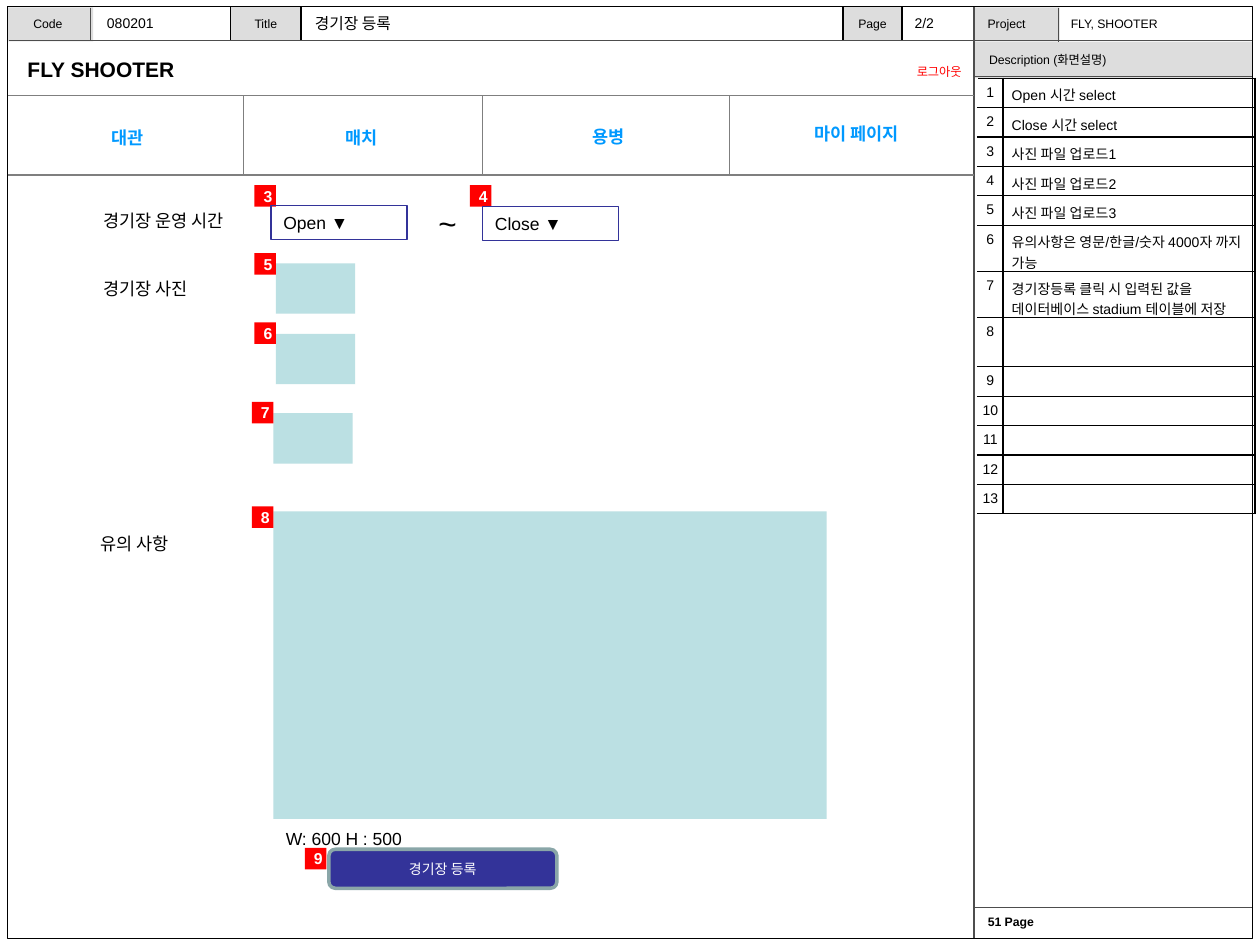
from lxml import etree
from pptx import Presentation
from pptx.dml.color import RGBColor
from pptx.enum import shapes, text
from pptx.oxml import ns
from pptx.util import Inches, Pt

BLACK = RGBColor(0x00, 0x00, 0x00)
WHITE = RGBColor(0xFF, 0xFF, 0xFF)
RED = RGBColor(0xFF, 0x00, 0x00)
HEADER_GREY = RGBColor(0xDD, 0xDD, 0xDD)
FRAME_GREY = RGBColor(0x4D, 0x4D, 0x4D)
MENU_GREY = RGBColor(0x7F, 0x7F, 0x7F)
MENU_BLUE = RGBColor(0x00, 0x99, 0xFF)
NAVY = RGBColor(0x33, 0x33, 0x99)
PALE_TEAL = RGBColor(0xBB, 0xE0, 0xE3)
BUTTON_EDGE = RGBColor(0x8A, 0xA6, 0xA8)

LEFT, CENTER, RIGHT = text.PP_ALIGN.LEFT, text.PP_ALIGN.CENTER, text.PP_ALIGN.RIGHT
TOP, MIDDLE = text.MSO_ANCHOR.TOP, text.MSO_ANCHOR.MIDDLE
RECTANGLE = shapes.MSO_SHAPE.RECTANGLE
ROUNDED = shapes.MSO_SHAPE.ROUNDED_RECTANGLE
KOREAN = "Noto Sans CJK KR"

DESCRIPTIONS = [
    "Open 시간 select",
    "Close 시간 select",
    "사진 파일 업로드1",
    "사진 파일 업로드2",
    "사진 파일 업로드3",
    "유의사항은 영문/한글/숫자 4000자 까지 가능",
    "경기장등록 클릭 시 입력된 값을 데이터베이스 stadium 테이블에 저장",
] + [""] * 6
ROW_HEIGHT = 0.22
TALL_ROWS = {6: 0.36, 7: 0.36, 8: 0.39}
COLUMN_WIDTHS = (0.2, 2)


def write(frame, content, size=10, color=BLACK, bold=False, font="Arial", align=LEFT):
    paragraph = frame.paragraphs[0]
    paragraph.alignment = align
    run = paragraph.add_run()
    run.text = content
    run.font.size = Pt(size)
    run.font.name = font
    run.font.bold = bold
    run.font.color.rgb = color


def add_label(slide, box, content, anchor=TOP, inset=0.1, wrap=True, **style):
    shape = slide.shapes.add_textbox(*map(Inches, box))
    frame = shape.text_frame
    frame.word_wrap = wrap
    frame.vertical_anchor = anchor
    frame.margin_left = Inches(inset)
    write(frame, content, **style)


def add_box(slide, box, fill=None, line=None, width=0.75, kind=RECTANGLE,
            content="", anchor=MIDDLE, inset=0.1, **style):
    shape = slide.shapes.add_shape(kind, *map(Inches, box))
    shape.shadow.inherit = False
    if fill is None:
        shape.fill.background()
    else:
        shape.fill.solid()
        shape.fill.fore_color.rgb = fill
    if line is None:
        shape.line.fill.background()
    else:
        shape.line.color.rgb = line
        shape.line.width = Pt(width)
    if content:
        shape.text_frame.vertical_anchor = anchor
        shape.text_frame.margin_left = Inches(inset)
        write(shape.text_frame, content, **style)


def add_line(slide, x1, y1, x2, y2, color):
    line = slide.shapes.add_connector(
        shapes.MSO_CONNECTOR.STRAIGHT, *map(Inches, (x1, y1, x2, y2)))
    line.line.color.rgb = color
    line.line.width = Pt(0.75)
    etree.SubElement(line._element.spPr, ns.qn("a:effectLst"))


def set_borders(cell, sides):
    """Draw thin black borders on the sides, given in the order L, R, T, B."""
    properties = cell._tc.get_or_add_tcPr()
    for position, side in enumerate(sides):
        border = etree.Element(ns.qn(f"a:ln{side}"), w=str(Pt(0.75)))
        fill = etree.SubElement(border, ns.qn("a:solidFill"))
        etree.SubElement(fill, ns.qn("a:srgbClr"), val=str(BLACK))
        properties.insert(position, border)


def add_header(slide):
    add_box(slide, (7.73, 0.33, 2.21, 0.29), HEADER_GREY,
            content="Description (화면설명)", inset=0.12, size=7, anchor=MIDDLE)
    for left, width, title in ((6.69, 0.47, "Page"), (1.83, 0.56, "Title")):
        add_box(slide, (left, 0.05, width, 0.27), HEADER_GREY, BLACK,
                content=title, size=7, align=CENTER)
    for left in (0.06, 7.73):
        add_box(slide, (left, 0.06, 0.68, 0.27), HEADER_GREY)
    add_label(slide, (0.06, 0.05, 0.64, 0.27), "Code", MIDDLE, size=7, align=CENTER)
    add_label(slide, (7.74, 0.08, 0.66, 0.24), "Project", size=7)
    add_label(slide, (8.4, 0.08, 1.5, 0.24), "FLY, SHOOTER", size=7)
    add_label(slide, (0.75, 0.05, 1.02, 0.26), "080201", MIDDLE, size=8)
    add_label(slide, (2.4, 0.06, 4.25, 0.25), "경기장 등록", MIDDLE, size=9)
    add_label(slide, (7.16, 0.05, 0.52, 0.26), "2/2", MIDDLE, size=8)


def add_frame(slide):
    for ends in ((7.73, 0.05, 7.73, 7.45), (0.07, 0.32, 9.94, 0.32),
                 (8.4, 0.06, 8.4, 0.33), (0.72, 0.06, 0.72, 0.32),
                 (7.74, 0.61, 9.94, 0.61), (7.74, 7.2, 9.94, 7.2)):
        add_line(slide, *ends, FRAME_GREY)
    add_box(slide, (0.06, 0.05, 9.88, 7.4), line=BLACK)
    add_label(slide, (7.76, 7.21, 2.14, 0.24), "51 Page", inset=0.08, size=7, bold=True)


def add_menu(slide):
    add_label(slide, (0.12, 0.4, 6.23, 0.3), "FLY SHOOTER", MIDDLE, size=12, bold=True)
    add_label(slide, (6.65, 0.46, 1.08, 0.22), "로그아웃", size=7, color=RED, align=RIGHT)
    for y in (0.76, 1.39):
        add_line(slide, 0.06, y, 7.73, y, MENU_GREY)
    for x in (1.93, 3.83, 5.79):
        add_line(slide, x, 0.76, x, 1.39, MENU_GREY)
    for left, top, item in ((0.08, 0.96, "대관"), (1.94, 0.96, "매치"),
                            (3.9, 0.95, "용병"), (5.87, 0.93, "마이 페이지")):
        add_label(slide, (left, top, 1.86, 0.27), item,
                  color=MENU_BLUE, bold=True, align=CENTER)


def add_form(slide):
    for left, top, caption in ((0.72, 1.62, "경기장 운영 시간"),
                               (0.72, 2.16, "경기장 사진"), (0.7, 4.18, "유의 사항")):
        add_label(slide, (left, top, 1.47, 0.27), caption, font=KOREAN)
    for left, top in ((2.19, 2.09), (2.19, 2.65), (2.17, 3.28)):
        add_box(slide, (left, top, 0.63, 0.4), PALE_TEAL)
    add_box(slide, (2.17, 4.06, 4.39, 2.44), PALE_TEAL)
    add_label(slide, (2.17, 6.52, 1.21, 0.27), "W: 600 H : 500")
    add_label(slide, (3.38, 1.57, 0.35, 0.4), "~", wrap=False, size=18)
    add_box(slide, (2.61, 6.74, 1.81, 0.31), NAVY, BUTTON_EDGE, 2, ROUNDED,
            "경기장 등록", size=8, color=WHITE, align=CENTER)
    badges = ((2.02, 1.47), (3.73, 1.47), (2.02, 2.01), (2.02, 2.56),
              (2, 3.19), (2, 4.02), (2.42, 6.73))
    for number, (left, top) in enumerate(badges, start=3):
        add_box(slide, (left, top, 0.17, 0.17), RED, content=str(number),
                size=9, color=WHITE, bold=True, align=CENTER)
    for left, top, choice in ((2.15, 1.63, "Open ▼"), (3.83, 1.64, "Close ▼")):
        add_box(slide, (left, top, 1.08, 0.27), line=NAVY, content=choice, anchor=TOP)


def add_descriptions(slide):
    heights = [TALL_ROWS.get(number, ROW_HEIGHT)
               for number in range(1, len(DESCRIPTIONS) + 1)]
    table = slide.shapes.add_table(
        len(heights), 2, Inches(7.76), Inches(0.62), Inches(sum(COLUMN_WIDTHS)),
        Inches(sum(heights))).table
    table.first_row = table.horz_banding = False
    for column, width in zip(table.columns, COLUMN_WIDTHS):
        column.width = Inches(width)
    for index, description in enumerate(DESCRIPTIONS):
        table.rows[index].height = Inches(heights[index])
        columns = ((str(index + 1), 0.02, CENTER, "RTB"), (description, 0.07, LEFT, "LRTB"))
        for column, (content, inset, align, sides) in enumerate(columns):
            cell = table.cell(index, column)
            cell.fill.background()
            cell.margin_left = cell.margin_right = Inches(inset)
            set_borders(cell, sides)
            if content:
                write(cell.text_frame, content, size=8, align=align)
            else:
                etree.SubElement(cell.text_frame.paragraphs[0]._p,
                                 ns.qn("a:endParaRPr"), sz="800")


def main():
    presentation = Presentation()
    presentation.slide_width, presentation.slide_height = Inches(10), Inches(7.5)
    slide = presentation.slides.add_slide(presentation.slide_layouts[6])
    add_header(slide)
    add_frame(slide)
    add_menu(slide)
    add_form(slide)
    add_descriptions(slide)
    presentation.save("out.pptx")


if __name__ == "__main__":
    main()
